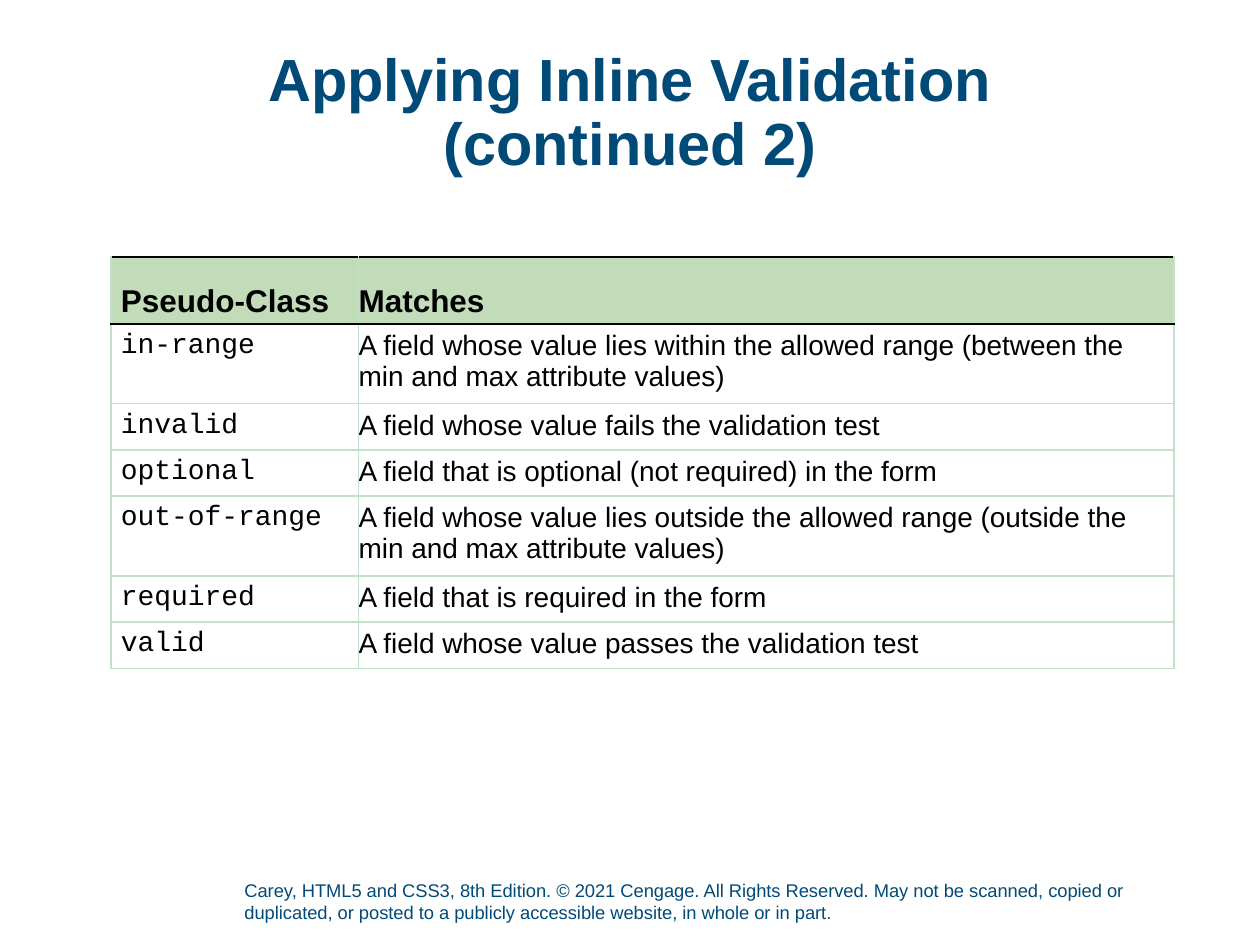
from pptx import Presentation
from pptx import util as u
from pptx.dml.color import RGBColor
from pptx.enum import text
from pptx.oxml import parse_xml
from pptx.oxml.ns import nsdecls

NAVY, BLACK, WHITE = "004A78", "000000", "FFFFFF"
HEADER_GREEN, RULE_GREEN = "C2DBB9", "BFE2C9"
WIDTH, HEIGHT = u.Inches(10), u.Inches(7.5)

HEADINGS = ("Pseudo-Class", "Matches")
PSEUDO_CLASSES = [
    ("in-range", "A field whose value lies within the allowed range (between the min and max attribute values)"),
    ("invalid", "A field whose value fails the validation test"),
    ("optional", "A field that is optional (not required) in the form"),
    ("out-of-range", "A field whose value lies outside the allowed range (outside the min and max attribute values)"),
    ("required", "A field that is required in the form"),
    ("valid", "A field whose value passes the validation test"),
]
COLUMN_SHARES = (0.233, 0.767)
HEADER_HEIGHT, LINE_HEIGHT, ROW_PADDING = 0.51, 0.25, 0.1
LINE_CAPACITY = 60


def color(hex_value):
    """Return the colour for a hex string."""
    return RGBColor.from_string(hex_value)


def share(left, top, width, height):
    """Turn shares of the slide's size into a box of lengths."""
    return int(left * WIDTH), int(top * HEIGHT), int(width * WIDTH), int(height * HEIGHT)


def write(frame, words, size, font="Arial", fill=BLACK, bold=False, align=None,
          spacing=None, anchor=text.MSO_ANCHOR.TOP, insets=(0, 0, 0, 0)):
    """Fill a text frame or table cell with one formatted paragraph."""
    frame.margin_left, frame.margin_top, frame.margin_right, frame.margin_bottom = map(u.Inches, insets)
    frame.vertical_anchor = anchor
    holder = getattr(frame, "text_frame", frame)
    holder.word_wrap = True
    holder.text = words
    paragraph = holder.paragraphs[0]
    paragraph.alignment = align
    paragraph.line_spacing = spacing
    for run in paragraph.runs:
        run.font.name, run.font.size, run.font.bold = font, u.Pt(size), bold
        run.font.color.rgb = color(fill)


def set_borders(cell, top, bottom):
    """Draw one-point borders, green at the sides."""
    properties = cell._tc.get_or_add_tcPr()
    sides = {"lnL": RULE_GREEN, "lnR": RULE_GREEN, "lnT": top, "lnB": bottom}
    for index, (side, line_color) in enumerate(sides.items()):
        properties.insert(index, parse_xml(
            f'<a:{side} {nsdecls("a")} w="12700"><a:solidFill>'
            f'<a:srgbClr val="{line_color}"/></a:solidFill></a:{side}>'))


def add_title(slide, box):
    """Place the centred title in its placeholder."""
    title = slide.shapes.title
    title.left, title.top, title.width, title.height = box
    title.text_frame.auto_size = text.MSO_AUTO_SIZE.NONE
    write(title.text_frame, "Applying Inline Validation\v(continued 2)", 34,
          fill=NAVY, bold=True, align=text.PP_ALIGN.CENTER, spacing=0.9)


def add_pseudo_class_table(slide, box):
    """Place the table of pseudo-classes and what they match."""
    rows = [HEADINGS, *PSEUDO_CLASSES]
    table = slide.shapes.add_table(len(rows), len(HEADINGS), *box).table
    for column, portion in zip(table.columns, COLUMN_SHARES):
        column.width = int(box[2] * portion)
    for row_index, values in enumerate(rows):
        header = row_index == 0
        lines = 1 + (len(values[1]) > LINE_CAPACITY)
        height = HEADER_HEIGHT if header else lines * LINE_HEIGHT + ROW_PADDING
        table.rows[row_index].height = u.Inches(height)
        for column_index, value in enumerate(values):
            cell = table.cell(row_index, column_index)
            left = 0 if column_index else 0.08
            if header:
                write(cell, value, 18, bold=True, anchor=text.MSO_ANCHOR.BOTTOM,
                      insets=(left, 0.19, 0.08, 0.04))
            else:
                write(cell, value, 16, font="Arial" if column_index else "Courier New",
                      insets=(left, 0.05, 0.08, 0.05))
            cell.fill.solid()
            cell.fill.fore_color.rgb = color(HEADER_GREEN if header else WHITE)
            set_borders(cell, top=BLACK if row_index < 2 else RULE_GREEN,
                        bottom=BLACK if header else RULE_GREEN)


def add_copyright(slide, box):
    """Place the copyright line at the foot of the slide."""
    footer = slide.shapes.add_textbox(*box)
    write(footer.text_frame,
          "Carey, HTML5 and CSS3, 8th Edition. © 2021 Cengage. All Rights Reserved. "
          "May not be scanned, copied or duplicated, or posted to a publicly accessible "
          "website, in whole or in part.",
          10.5, fill=NAVY, anchor=text.MSO_ANCHOR.BOTTOM, insets=(0, 0, 0, 0.05))


def main():
    """Build and save the slide."""
    presentation = Presentation()
    presentation.slide_width, presentation.slide_height = WIDTH, HEIGHT
    slide = presentation.slides.add_slide(presentation.slide_layouts[5])
    add_copyright(slide, share(0.194, 0.93, 0.735, 0.053))
    add_title(slide, share(0.069, 0.053, 0.862, 0.099))
    add_pseudo_class_table(slide, share(0.088, 0.272, 0.844, 0.415))
    presentation.save("out.pptx")


if __name__ == "__main__":
    main()
